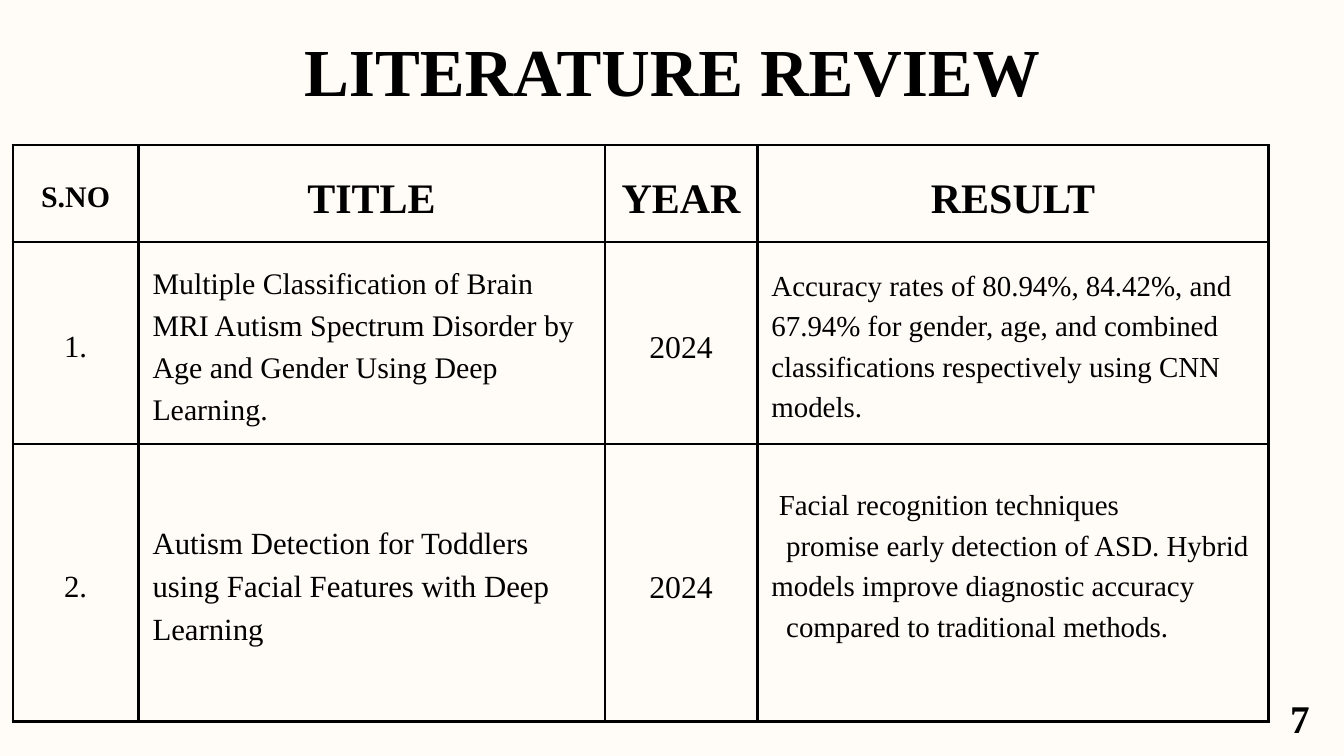
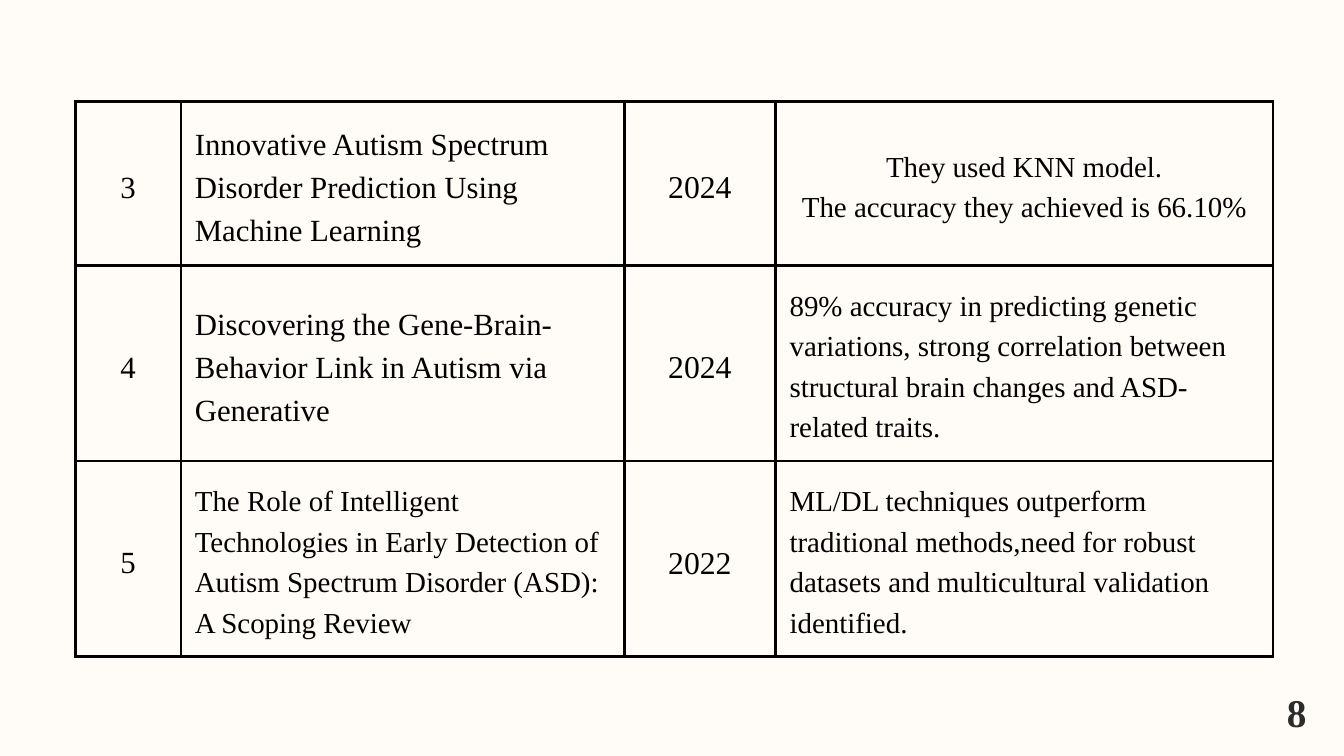
"""Build two literature review slides with bordered tables."""
import pptx
import pptx.dml.color
import pptx.enum.text
import pptx.oxml
import pptx.oxml.ns
import pptx.util
from pptx.util import Inches

PAPER = pptx.dml.color.RGBColor(0xFF, 0xFC, 0xF7)
BLACK = pptx.dml.color.RGBColor(0x00, 0x00, 0x00)
CHARCOAL = pptx.dml.color.RGBColor(0x2B, 0x2B, 0x2B)
FONT = "Times New Roman"
LINE_SPACING = 1.4
CELL_MARGIN = 0.21
BORDER_POINTS = 3
LEFT = pptx.enum.text.PP_ALIGN.LEFT
CENTER = pptx.enum.text.PP_ALIGN.CENTER


def write(frame, text, size, align, bold=False, color=BLACK):
    frame.text = text
    for para in frame.paragraphs:
        para.alignment = align
        para.line_spacing = pptx.util.Pt(size * LINE_SPACING)
        for span in para.runs:
            span.font.name = FONT
            span.font.size = pptx.util.Pt(size)
            span.font.bold = bold
            span.font.color.rgb = color


def add_label(page, place, text, size, color=BLACK, wrap=True):
    box = page.shapes.add_textbox(*[Inches(length) for length in place])
    frame = box.text_frame
    frame.margin_left = frame.margin_right = frame.margin_top = frame.margin_bottom = 0
    frame.word_wrap = wrap
    frame.auto_size = pptx.enum.text.MSO_AUTO_SIZE.SHAPE_TO_FIT_TEXT
    write(frame, text, size, CENTER, True, color)


reviews = [
    {
        "heading": "LITERATURE REVIEW",
        "number": ("7", (19.2, 10.22, 0.17, 0.34), BLACK),
        "corner": (0.19, 2.16),
        "columns": [1.87, 6.94, 2.27, 7.61],
        "heights": [1.44, 3.01, 4.13],
        "header": ["S.NO", "TITLE", "YEAR", "RESULT"],
        "entries": [
            ["1.",
             "Multiple Classification of Brain MRI Autism Spectrum Disorder by "
             "Age and Gender Using Deep Learning.",
             "2024",
             "Accuracy rates of 80.94%, 84.42%, and 67.94% for gender, age, and "
             "combined classifications respectively using CNN models."],
            ["2.",
             "Autism Detection for Toddlers using Facial Features with Deep Learning",
             "2024",
             "Facial recognition techniques\n"
             "promise early detection of ASD. Hybrid models improve diagnostic accuracy\n"
             "compared to traditional methods."],
        ],
        "title_sizes": [32, 33],
        "result_aligns": [LEFT, LEFT],
    },
    {
        "heading": None,
        "number": ("8", (19.15, 10.12, 0.17, 0.34), CHARCOAL),
        "corner": (1.12, 1.51),
        "columns": [1.57, 6.6, 2.25, 7.4],
        "heights": [2.44, 2.91, 2.91],
        "header": None,
        "entries": [
            ["3",
             "Innovative Autism Spectrum Disorder Prediction Using Machine Learning",
             "2024",
             "They used KNN model.\nThe accuracy they achieved is 66.10%"],
            ["4",
             "Discovering the Gene-Brain-Behavior Link in Autism via Generative",
             "2024",
             "89% accuracy in predicting genetic variations, strong correlation "
             "between structural brain changes and ASD-related traits."],
            ["5",
             "The Role of Intelligent Technologies in Early Detection of Autism "
             "Spectrum Disorder (ASD): A Scoping Review",
             "2022",
             "ML/DL techniques outperform traditional methods,need for robust "
             "datasets and multicultural validation identified."],
        ],
        "title_sizes": [33, 33, 31],
        "result_aligns": [CENTER, LEFT, LEFT],
    },
]

deck = pptx.Presentation()
deck.slide_width = Inches(20)
deck.slide_height = Inches(11.25)

for review in reviews:
    page = deck.slides.add_slide(deck.slide_layouts[6])
    page.background.fill.solid()
    page.background.fill.fore_color.rgb = PAPER

    rows = []
    if review["header"]:
        rows.append([(text, size, CENTER, True)
                     for text, size in zip(review["header"], [32, 45, 45, 45])])
    for entry, title_size, result_align in zip(
            review["entries"], review["title_sizes"], review["result_aligns"]):
        sizes = [33, title_size, 34, 31]
        aligns = [CENTER, LEFT, CENTER, result_align]
        rows.append([(*item, False) for item in zip(entry, sizes, aligns)])

    left, top = review["corner"]
    table = page.shapes.add_table(
        len(rows), len(review["columns"]), Inches(left), Inches(top),
        Inches(sum(review["columns"])), Inches(sum(review["heights"]))).table
    table.first_row = table.horz_banding = False
    for column, width in zip(table.columns, review["columns"]):
        column.width = Inches(width)
    for row, height, contents in zip(table.rows, review["heights"], rows):
        row.height = Inches(height)
        for cell, (text, size, align, bold) in zip(row.cells, contents):
            cell.margin_left = cell.margin_right = Inches(CELL_MARGIN)
            cell.margin_top = cell.margin_bottom = Inches(CELL_MARGIN)
            cell.vertical_anchor = pptx.enum.text.MSO_ANCHOR.MIDDLE
            write(cell.text_frame, text, size, align, bold)
            properties = cell._tc.get_or_add_tcPr()
            for side in ("lnL", "lnR", "lnT", "lnB"):
                properties.append(pptx.oxml.parse_xml(
                    f'<a:{side} {pptx.oxml.ns.nsdecls("a")} '
                    f'w="{pptx.util.Pt(BORDER_POINTS)}"><a:solidFill>'
                    f'<a:srgbClr val="{BLACK}"/></a:solidFill></a:{side}>'))
            cell.fill.background()

    if review["heading"]:
        facial_result = table.cell(2, 3)
        facial_result.margin_bottom = Inches(0.81)
        for para, indent in zip(facial_result.text_frame.paragraphs, [0.11, 0.22, 0.22]):
            para._p.get_or_add_pPr().set("indent", str(Inches(indent)))

    number, place, color = review["number"]
    add_label(page, place, number, 42, color, wrap=False)
    if review["heading"]:
        add_label(page, (4.48, 0.23, 11.05, 1.5), review["heading"], 72)

deck.save("out.pptx")
